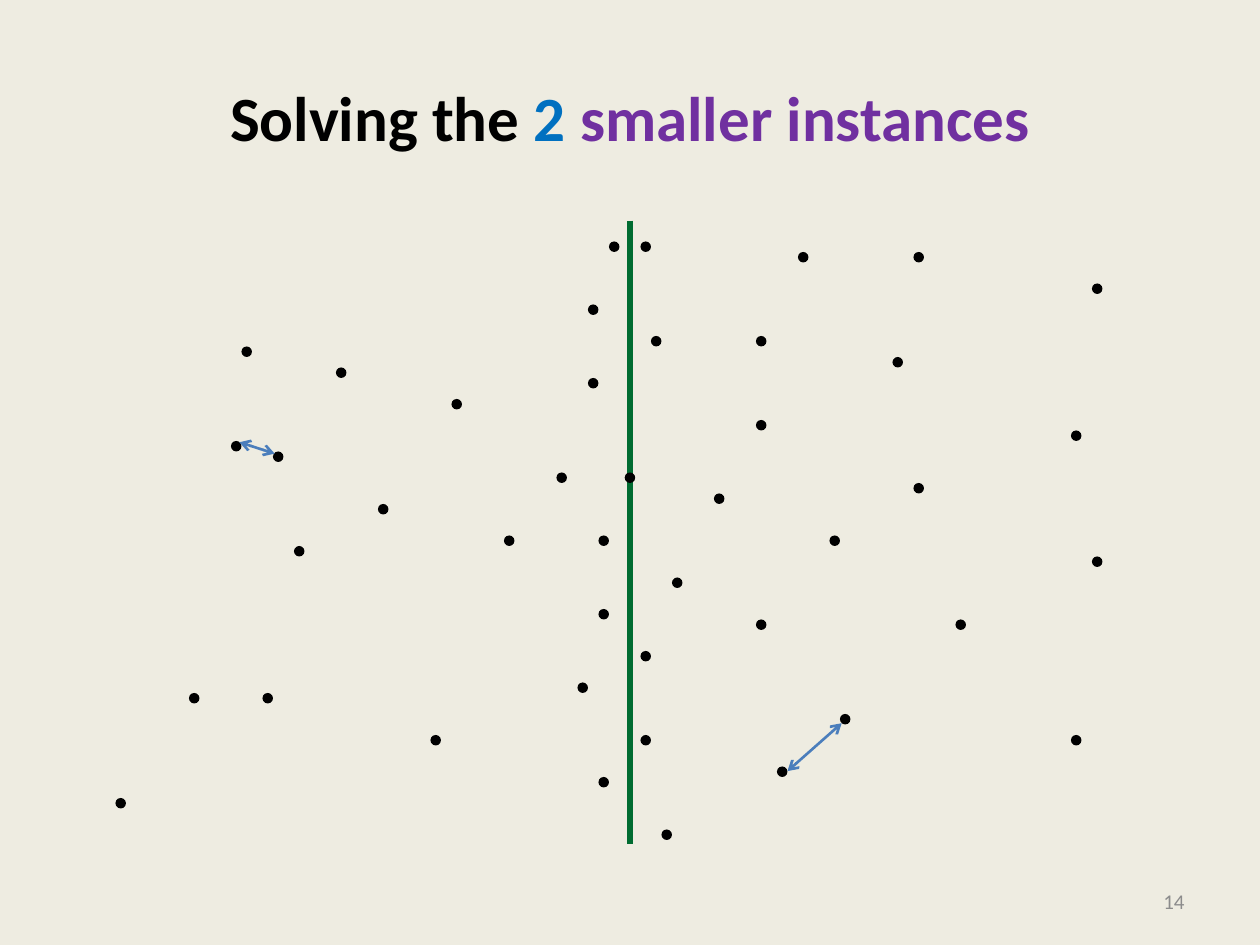
from pptx import Presentation
from pptx.dml.color import RGBColor
from pptx.enum.shapes import MSO_CONNECTOR, MSO_SHAPE
from pptx.enum.text import MSO_ANCHOR, PP_ALIGN
from pptx.oxml.ns import qn
from pptx.util import Inches, Pt
from lxml.etree import SubElement

COLORS = {"background": "EEECE1", "text": "000000", "count": "0070C0",
          "instances": "7030A0", "number": "8C8C8C", "dot": "000000",
          "distance": "4B7EBC", "divider": "006C31"}

# Dots lie on a grid of twelfths of an inch, counted from the plane's corner
GRID = 1 / 12
LEFT_DOTS = [(52, 2), (50, 8), (17, 12), (26, 14), (50, 15), (37, 17), (16, 21),
             (20, 22), (47, 24), (30, 27), (42, 30), (51, 30), (22, 31), (51, 37),
             (49, 44), (12, 45), (19, 45), (35, 49), (51, 53), (5, 55)]
MIDDLE_DOTS = [(53.5, 24)]
RIGHT_DOTS = [(55, 2), (70, 3), (81, 3), (98, 6), (56, 11), (66, 11), (79, 13),
              (66, 19), (96, 20), (81, 25), (62, 26), (73, 30), (98, 32), (58, 34),
              (66, 38), (85, 38), (55, 41), (74, 47), (55, 49), (96, 49), (68, 52),
              (57, 58)]
# Closest pair of each half, in inches from the plane's corner
CLOSEST_PAIRS = [((1.68, 1.85), (1.4, 1.76)), ((6.18, 3.99), (5.75, 4.37))]


def rgb(name):
    return RGBColor.from_string(COLORS[name])


def add_run(p, text, color, **formats):
    r = p.add_run()
    r.text = text
    r.font.color.rgb = rgb(color)
    for name, value in {"name": "Calibri", **formats}.items():
        setattr(r.font, name, value)


def add_line(s, start, end, color, width, arrows=False):
    line = s.shapes.add_connector(MSO_CONNECTOR.STRAIGHT,
                                  *(Inches(v) for v in (*start, *end)))
    line.line.color.rgb = rgb(color)
    line.line.width = Pt(width)
    if arrows:
        ln = line.line._get_or_add_ln()
        for tag in ("a:headEnd", "a:tailEnd"):
            SubElement(ln, qn(tag), type="arrow")
    SubElement(line._element.spPr, qn("a:effectLst"))


def place(sp, box):
    for name, value in zip(("left", "top", "width", "height"), box):
        setattr(sp, name, Inches(value))


def add_title(s, box):
    title = s.shapes.title
    place(title, box)
    tf = title.text_frame
    tf.vertical_anchor = MSO_ANCHOR.MIDDLE
    p = tf.paragraphs[0]
    p.alignment = PP_ALIGN.CENTER
    for text, color in (("Solving the ", "text"), ("2 ", "count"),
                        ("smaller instances", "instances")):
        add_run(p, text, color, size=Pt(36), bold=True)


def add_plane(s, box):
    left, top, width, height = box

    # Dividing line
    middle = left + width / 2
    add_line(s, (middle, top), (middle, top + height), "divider", 3)

    # Points
    for x, y in LEFT_DOTS + MIDDLE_DOTS + RIGHT_DOTS:
        dot = s.shapes.add_shape(MSO_SHAPE.OVAL, Inches(left + x * GRID),
                                 Inches(top + y * GRID), Inches(GRID), Inches(GRID))
        dot.shadow.inherit = False
        dot.fill.solid()
        dot.fill.fore_color.rgb = rgb("dot")
        dot.line.fill.background()

    # Closest pairs
    for pair in CLOSEST_PAIRS:
        start, end = ((left + x, top + y) for x, y in pair)
        add_line(s, start, end, "distance", 1.5, arrows=True)


def add_slide_number(s, box):
    tf = s.shapes.add_textbox(*(Inches(v) for v in box)).text_frame
    tf.word_wrap = True
    tf.vertical_anchor = MSO_ANCHOR.MIDDLE
    p = tf.paragraphs[0]
    p.alignment = PP_ALIGN.RIGHT
    add_run(p, "14", "number", size=Pt(12))


def main():
    prs = Presentation()
    prs.slide_width, prs.slide_height = Inches(10), Inches(7.5)
    s = prs.slides.add_slide(prs.slide_layouts[5])
    s.background.fill.solid()
    s.background.fill.fore_color.rgb = rgb("background")
    add_title(s, (0.5, 0.3, 9, 1.25))
    add_plane(s, (0.5, 1.75, 9, 4.95))
    add_slide_number(s, (7.17, 6.95, 2.33, 0.4))
    prs.save("out.pptx")


if __name__ == "__main__":
    main()
